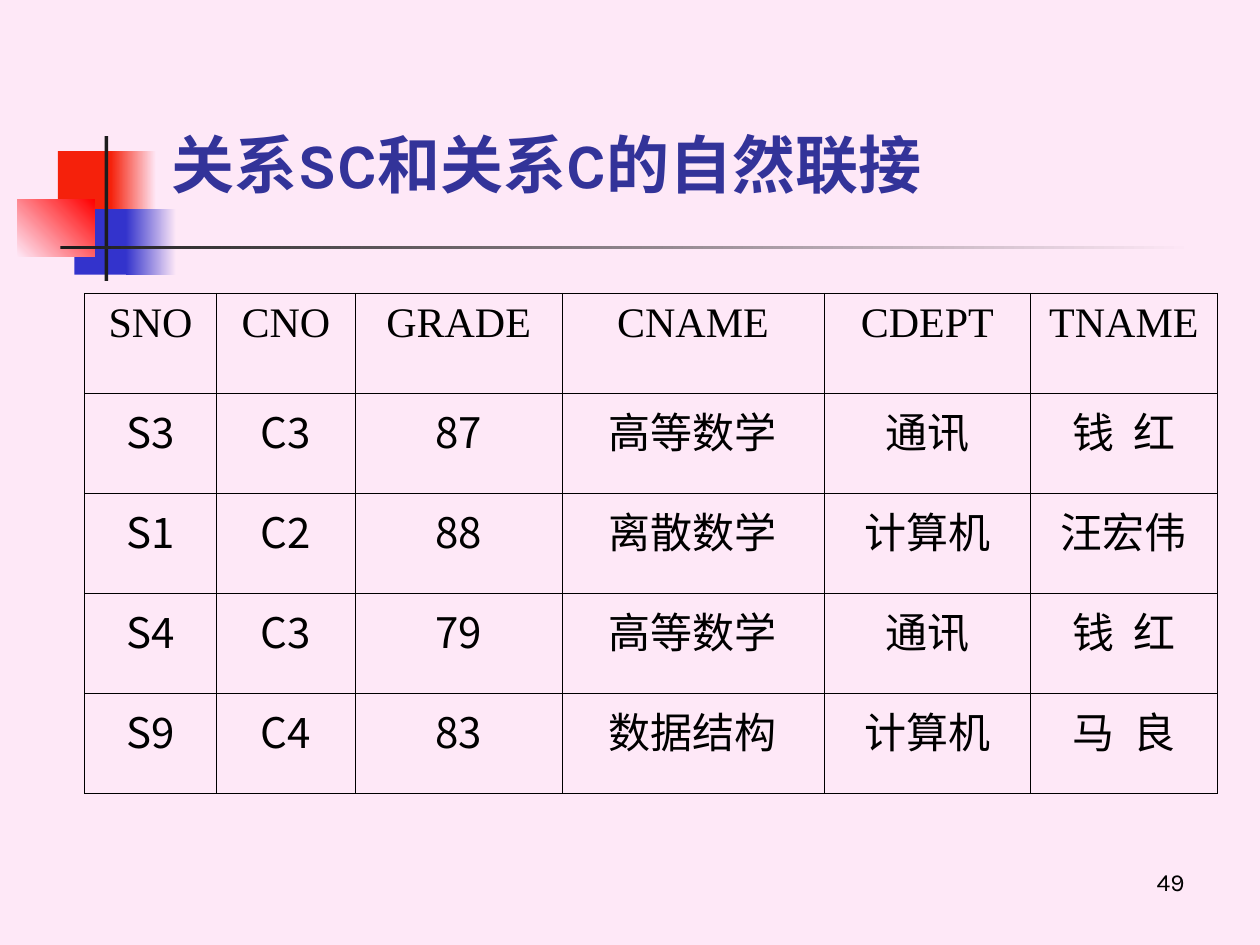
from lxml import etree
from pptx import Presentation
from pptx import util as u
from pptx.dml.color import RGBColor
from pptx.enum import shapes, text
from pptx.oxml import ns

PINK = RGBColor(0xFE, 0xE8, 0xF7)
ORANGE = RGBColor(0xF5, 0x21, 0x0B)
RED = RGBColor(0xFF, 0x00, 0x00)
BLUE = RGBColor(0x33, 0x33, 0xCC)
INDIGO = RGBColor(0x33, 0x33, 0x99)
CHARCOAL = RGBColor(0x1C, 0x1C, 0x1C)
BLACK = RGBColor(0x00, 0x00, 0x00)

KARLA, SANS, SERIF = "Karla", "Noto Sans CJK SC", "Times New Roman"

# Ornament: left, top, width, height, start colour, end colour, angle
ORNAMENT = [
    (0.46, 1.2, 0.48, 0.52, ORANGE, None, 0),
    (0.88, 1.2, 0.36, 0.52, ORANGE, PINK, 0),
    (0.59, 1.66, 0.46, 0.52, BLUE, None, 0),
    (1, 1.66, 0.4, 0.52, BLUE, PINK, 0),
    (0.14, 1.58, 0.61, 0.46, PINK, RED, 45),
    (0.83, 1.08, 0.03, 1.15, CHARCOAL, None, 0),
    (0.48, 1.95, 9, 0.03, CHARCOAL, PINK, 0),
]

COLUMN_WIDTHS = [1.05, 1.1, 1.64, 2.08, 1.64, 1.48]
ROW_HEIGHT = 0.794
RECORDS = [
    ["SNO", "CNO", "GRADE", "CNAME", "CDEPT", "TNAME"],
    ["S3", "C3", "87", "高等数学", "通讯", "钱  红"],
    ["S1", "C2", "88", "离散数学", "计算机", "汪宏伟"],
    ["S4", "C3", "79", "高等数学", "通讯", "钱  红"],
    ["S9", "C4", "83", "数据结构", "计算机", "马  良"],
]
SERIF_COLUMNS = (3, 4)
THIN, OUTER_SIDE, THICK = 0.45, 0.34, 0.96


def place(shape, left, top, width, height):
    shape.left, shape.top = u.Inches(left), u.Inches(top)
    shape.width, shape.height = u.Inches(width), u.Inches(height)


def write(frame, words, font, size, color, align, bold=False):
    frame.text = words
    para = frame.paragraphs[0]
    para.alignment = align
    span = para.runs[0]
    span.font.name, span.font.size = font, u.Pt(size)
    span.font.bold = bold
    span.font.color.rgb = color
    # East Asian characters take their own typeface
    east = etree.SubElement(span.font._element, ns.qn("a:ea"))
    east.set("typeface", SANS)


def add_block(page, left, top, width, height, start, end, angle):
    block = page.shapes.add_shape(
        shapes.MSO_SHAPE.RECTANGLE, *map(u.Inches, (left, top, width, height)))
    block.shadow.inherit = False
    block.line.fill.background()
    if end is None:
        block.fill.solid()
        block.fill.fore_color.rgb = start
        return
    block.fill.gradient()
    block.fill.gradient_angle = angle
    for stop, color in zip(block.fill.gradient_stops, (start, end)):
        stop.color.rgb = color


def set_borders(cell, widths):
    properties = cell._tc.get_or_add_tcPr()
    for side, points in zip("LRTB", widths):
        line = etree.SubElement(properties, ns.qn(f"a:ln{side}"), w=str(u.Pt(points)))
        fill = etree.SubElement(line, ns.qn("a:solidFill"))
        etree.SubElement(fill, ns.qn("a:srgbClr"), val=str(BLACK))


def add_join_table(page):
    rows, columns = len(RECORDS), len(COLUMN_WIDTHS)
    frame = page.shapes.add_table(
        rows, columns, u.Inches(0.67), u.Inches(2.33),
        u.Inches(sum(COLUMN_WIDTHS)), u.Inches(rows * ROW_HEIGHT))
    table = frame.table
    table.first_row = table.horz_banding = False
    for column, width in zip(table.columns, COLUMN_WIDTHS):
        column.width = u.Inches(width)
    for r, record in enumerate(RECORDS):
        table.rows[r].height = u.Inches(ROW_HEIGHT)
        for c, words in enumerate(record):
            cell = table.cell(r, c)
            font = SERIF if r == 0 or c in SERIF_COLUMNS else SANS
            write(cell.text_frame, words, font, 24, BLACK, text.PP_ALIGN.CENTER)
            # Heavy rules frame the header and close the table
            set_borders(cell, (
                OUTER_SIDE if c == 0 else THIN,
                OUTER_SIDE if c == columns - 1 else THIN,
                THICK if r <= 1 else THIN,
                THICK if r in (0, rows - 1) else THIN))
            cell.fill.background()


def main():
    deck = Presentation()
    deck.slide_width, deck.slide_height = u.Inches(10), u.Inches(7.5)
    page = deck.slides.add_slide(deck.slide_layouts[5])
    page.background.fill.solid()
    page.background.fill.fore_color.rgb = PINK

    # Ornament beside and under the title
    for block in ORNAMENT:
        add_block(page, *block)

    # Title
    title = page.shapes.title
    place(title, 1.26, 0.67, 8.52, 1.25)
    title.text_frame.vertical_anchor = text.MSO_ANCHOR.MIDDLE
    write(title.text_frame, "关系SC和关系C的自然联接", KARLA, 36, INDIGO,
          text.PP_ALIGN.LEFT, bold=True)

    # Natural join result
    add_join_table(page)

    # Page number
    number = page.shapes.add_textbox(*map(u.Inches, (7.17, 6.83, 2.33, 0.52)))
    number.text_frame.word_wrap = True
    write(number.text_frame, "49", KARLA, 14, BLACK, text.PP_ALIGN.RIGHT)

    deck.save("out.pptx")


if __name__ == "__main__":
    main()
